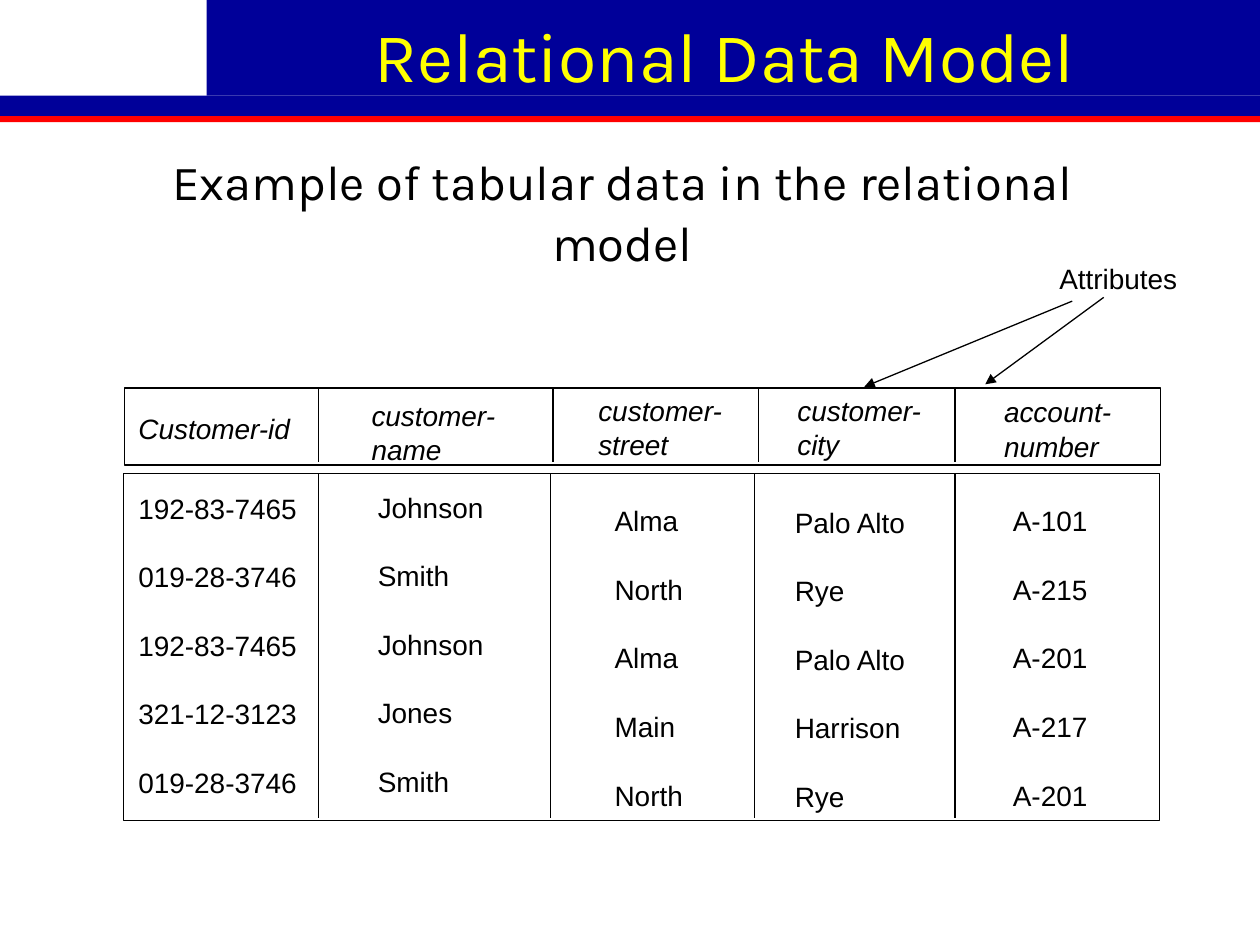
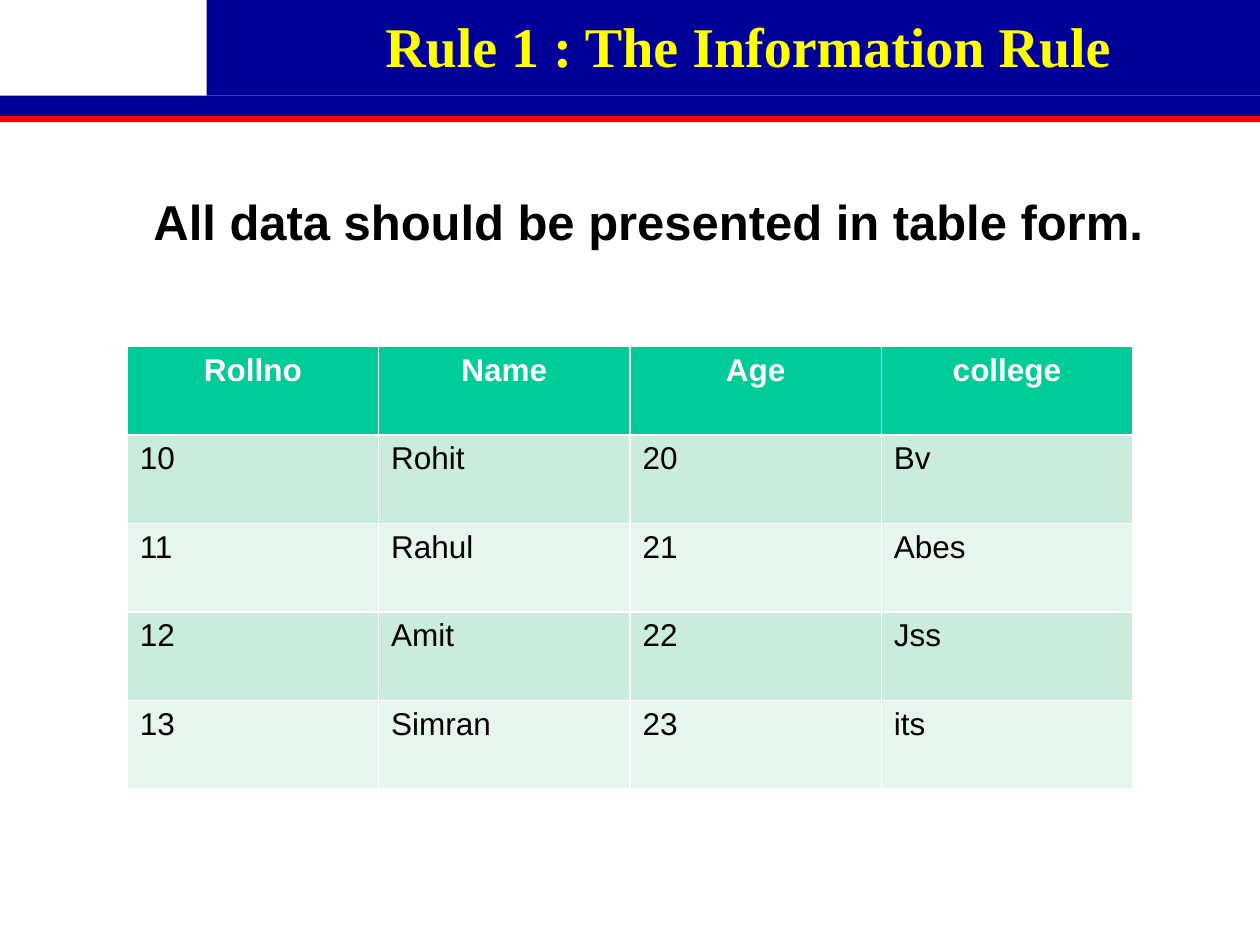
"""Build two slides on the relational data model."""
from dataclasses import dataclass

from lxml import etree
from pptx import Presentation
from pptx.dml.color import RGBColor
from pptx.enum.shapes import MSO_CONNECTOR, MSO_SHAPE
from pptx.enum.text import MSO_ANCHOR, MSO_AUTO_SIZE, PP_ALIGN
from pptx.oxml.ns import qn
from pptx.util import Inches, Pt

RECT = MSO_SHAPE.RECTANGLE
LINE = MSO_CONNECTOR.STRAIGHT
TOP = MSO_ANCHOR.TOP
FIXED = MSO_AUTO_SIZE.NONE
LEFT, MID = PP_ALIGN.LEFT, PP_ALIGN.CENTER


@dataclass(frozen=True)
class Theme:
    """Colours, fonts and type sizes of the deck."""
    navy: str = "000099"
    red: str = "FF0000"
    gold: str = "FFFF00"
    ink: str = "000000"
    paper: str = "FFFFFF"
    green: str = "00CC99"
    tints: tuple = ("CAECDD", "E6F6EF")
    sans: str = "Arial"
    round: str = "Karla"
    serif: str = "Times New Roman"
    big: int = 40
    title: int = 32
    lead: int = 28
    cell: int = 18
    note: int = 16
    rule: float = 0.75
    lines: float = 1.04
    gap: float = 19.2


def size(units):
    """Turn grid units, 100 columns by 75 rows, into a length."""
    return Inches(units / 10)


def tint(code):
    """Turn a hex code into a colour."""
    return RGBColor.from_string(code)


class Deck:
    """Holds the theme, the file and the current slide."""

    def __init__(self, theme):
        """Open an empty file on a 100 by 75 grid."""
        self.theme = theme
        self.file = Presentation()
        self.file.slide_width, self.file.slide_height = size(100), size(75)
        self.base = self.file.slide_layouts[0]
        self.slide = None

    def page(self):
        """Start a slide, and draw the shared bands before the first."""
        first = self.slide is None
        self.slide = self.file.slides.add_slide(self.base)
        if first:
            self.bands()

    def bands(self):
        """Place the header bands on the shared layout."""
        look = self.theme
        bands = (((0, 9.2, 100, 0.5), look.red),
                 ((16.4, 0, 83.6, 7.6), look.navy),
                 ((0, 7.6, 100, 1.6), look.navy))
        for spot, (area, fill) in enumerate(bands):
            part = self.box(area, fill).element
            part.nvSpPr.cNvPr.set("id", str(90 + spot))
            self.base.shapes.element.insert(2 + spot, part)

    def style(self, frame, font, points, code, align=LEFT, gap=0,
              lines=None, bold=False, slant=False):
        """Format every paragraph and run of a frame."""
        for row, para in enumerate(frame.paragraphs):
            para.alignment = align
            para.space_before = Pt(gap if row else 0)
            para.line_spacing = lines
            for run in para.runs:
                run.font.name, run.font.size = font, Pt(points)
                run.font.color.rgb = tint(code)
                run.font.bold, run.font.italic = bold, slant

    def holder(self, index, text, area, font, points, code, bold=False):
        """Fill and move the title (0) or subtitle (1)."""
        shape = self.slide.placeholders[index]
        shape.left, shape.top, shape.width, shape.height = map(size, area)
        frame = shape.text_frame
        frame.text = text
        frame.word_wrap, frame.auto_size = True, FIXED
        frame.vertical_anchor = TOP
        frame.margin_top = size(0.7)
        self.style(frame, font, points, code, MID,
                   lines=self.theme.lines, bold=bold)

    def box(self, area, fill, edge=None):
        """Draw a flat box with an optional edge."""
        shape = self.slide.shapes.add_shape(RECT, *map(size, area))
        shape.shadow.inherit = False
        shape.fill.solid()
        shape.fill.fore_color.rgb = tint(fill)
        if edge:
            shape.line.color.rgb = tint(edge)
            shape.line.width = Pt(self.theme.rule)
        else:
            shape.line.fill.background()
        return shape

    def text(self, text, area, gap=0, slant=False):
        """Write a small label, one paragraph for each line."""
        look = self.theme
        frame = self.slide.shapes.add_textbox(*map(size, area)).text_frame
        frame.text = text
        frame.word_wrap = True
        frame.margin_right = 0
        self.style(frame, look.sans, look.note, look.ink, gap=gap,
                   lines=look.lines, slant=slant)

    def line(self, start, end, arrow=False):
        """Draw a thin line, with an arrowhead at its end if asked."""
        link = self.slide.shapes.add_connector(
            LINE, *map(size, (*start, *end)))
        link.line.color.rgb = tint(self.theme.ink)
        link.line.width = Pt(self.theme.rule)
        props = link.element.spPr
        if arrow:
            etree.SubElement(props.find(qn("a:ln")), qn("a:tailEnd"),
                             type="triangle")
        etree.SubElement(props, qn("a:effectLst"))

    def table(self, rows, area):
        """Add a banded table with a bold, centred head row."""
        look = self.theme
        grid = self.slide.shapes.add_table(
            len(rows), len(rows[0]), *map(size, area)).table
        for r, row in enumerate(rows):
            head = r == 0
            fill = look.green if head else look.tints[(r - 1) % 2]
            for c, text in enumerate(row):
                cell = grid.cell(r, c)
                cell.fill.solid()
                cell.fill.fore_color.rgb = tint(fill)
                cell.text_frame.text = text
                self.style(cell.text_frame, look.sans, look.cell,
                           look.paper if head else look.ink,
                           MID if head else LEFT, bold=head)


HEADS = (
    ("Customer-id", (10, 32.1, 14.1, 3.7)),
    ("customer-\nname", (28.5, 31, 11.9, 6.4)),
    ("customer-\nstreet", (46.5, 30.6, 11.9, 6.4)),
    ("customer-\ncity", (62.3, 30.6, 11.9, 6.4)),
    ("account-\nnumber", (78.7, 30.7, 10.5, 6.4)),
)
FIELDS = (
    (10, 38.4, 14.6),
    (29, 38.3, 10.4),
    (47.8, 39.4, 7.4),
    (62.1, 39.5, 10.9),
    (79.4, 39.4, 7.9),
)
CLIENTS = (
    ("192-83-7465", "Johnson", "Alma", "Palo Alto", "A-101"),
    ("019-28-3746", "Smith", "North", "Rye", "A-215"),
    ("192-83-7465", "Johnson", "Alma", "Palo Alto", "A-201"),
    ("321-12-3123", "Jones", "Main", "Harrison", "A-217"),
    ("019-28-3746", "Smith", "North", "Rye", "A-201"),
)
SPLITS = (
    ((25.3, 43.9, 60.2, 75.8), 30.9, 36.7),
    ((25.3, 43.7, 59.9, 75.8), 37.6, 64.9),
)
ARROWS = (((87.6, 23.6), (78.2, 30.5)), ((85.1, 23.9), (68.6, 30.7)))
PUPILS = (
    ("Rollno", "Name", "Age", "college"),
    ("10", "Rohit", "20", "Bv"),
    ("11", "Rahul", "21", "Abes"),
    ("12", "Amit", "22", "Jss"),
    ("13", "Simran", "23", "its"),
)


def model(deck):
    """Show sample data in the relational model."""
    look = deck.theme
    deck.page()
    deck.holder(0, "Relational Data Model", (15, 0, 85, 8.8),
                look.round, look.big, look.gold)
    deck.holder(1, "Example of tabular data in the relational model",
                (6.9, 11.1, 85, 7.1), look.round, look.lead, look.ink)
    deck.box((9.9, 30.8, 82.2, 6.1), look.paper, look.ink)
    deck.box((9.8, 37.6, 82.2, 27.5), look.paper, look.ink)
    for text, area in HEADS:
        deck.text(text, area, slant=True)
    for (left, top, width), names in zip(FIELDS, zip(*CLIENTS)):
        deck.text("\n".join(names), (left, top, width, 25.1), look.gap)
    for spots, top, foot in SPLITS:
        for x in spots:
            deck.line((x, top), (x, foot))
    deck.text("Attributes", (83.1, 20.2, 11.4, 3.7))
    for start, end in ARROWS:
        deck.line(start, end, arrow=True)


def rule(deck):
    """Show the first rule with a sample table."""
    look = deck.theme
    deck.page()
    deck.holder(0, "Rule 1 : The Information Rule", (16.9, 0, 85, 9.9),
                look.serif, look.title, look.gold, bold=True)
    deck.holder(1, "All data should be presented in table form.",
                (8.5, 14.3, 85.9, 9.6), look.sans, look.lead, look.ink,
                bold=True)
    deck.table(PUPILS, (10.1, 27.5, 79.8, 35.1))


def main():
    """Build and save the deck."""
    deck = Deck(Theme())
    model(deck)
    rule(deck)
    deck.file.save("out.pptx")


if __name__ == "__main__":
    main()
